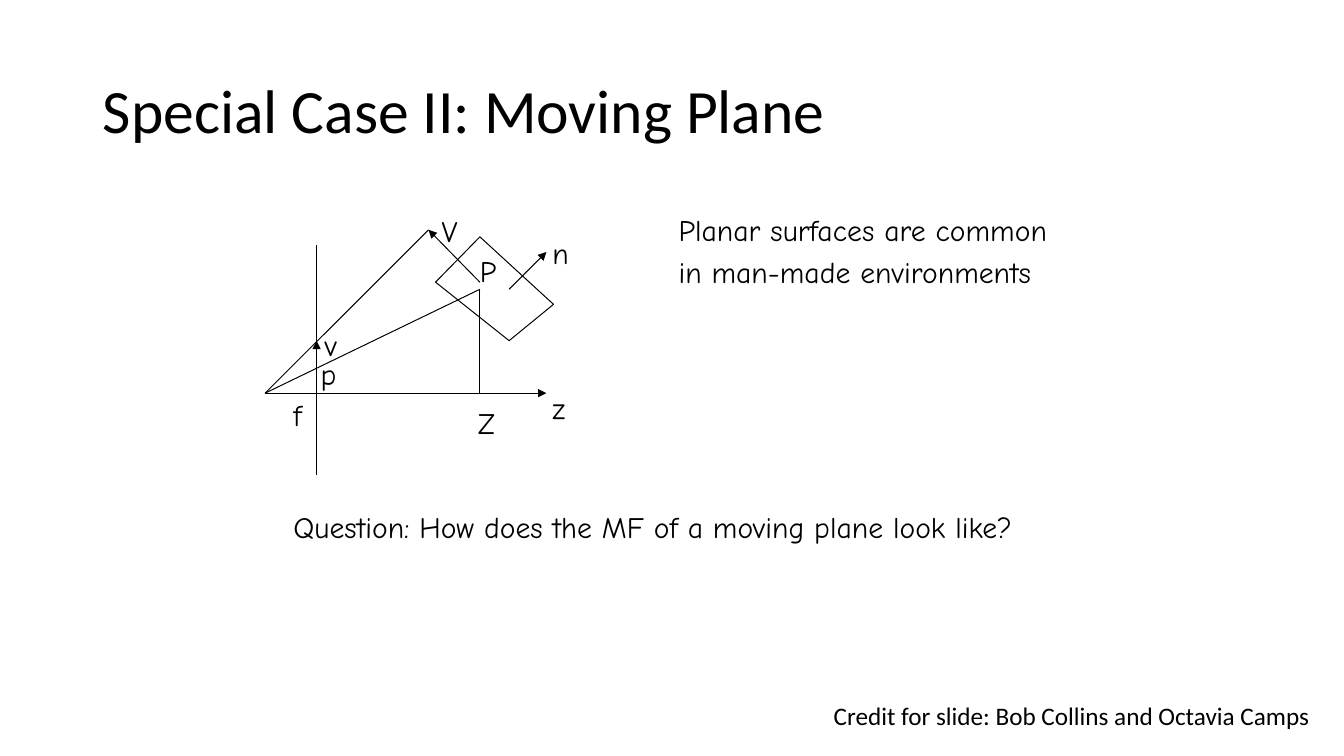
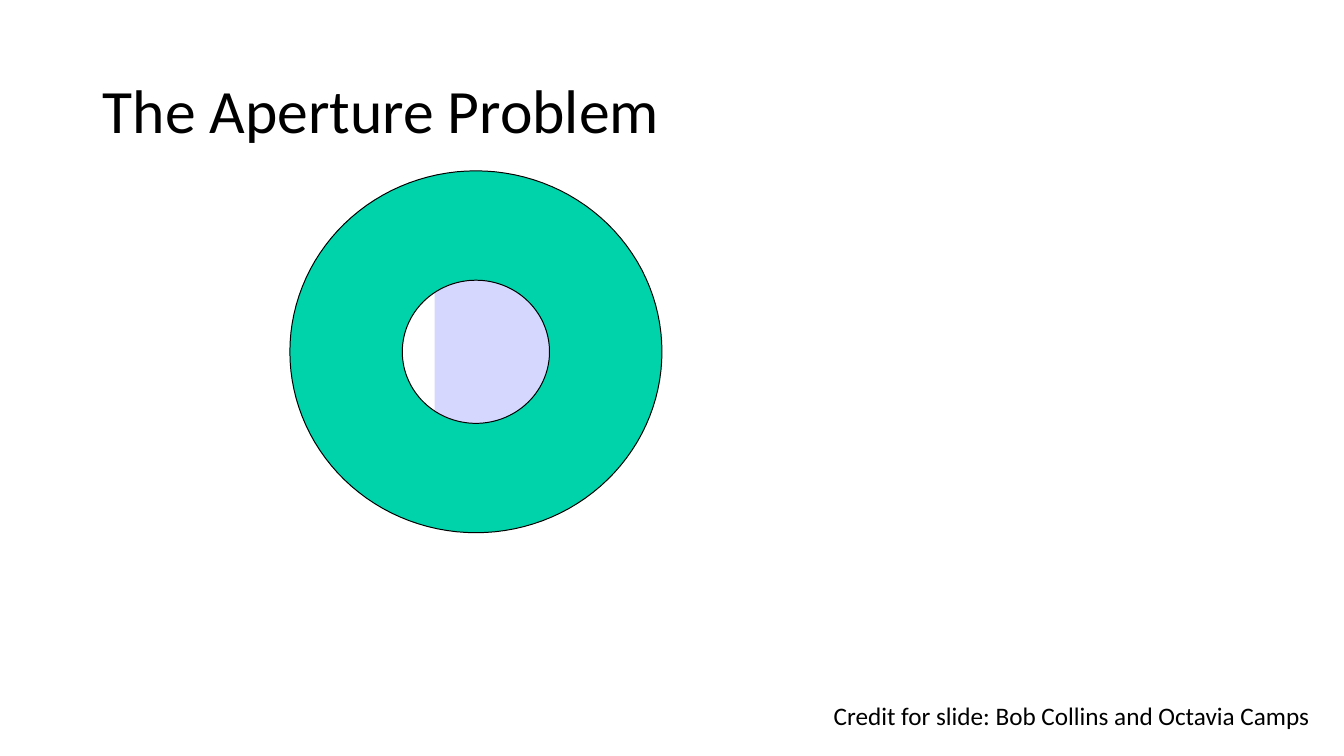
from dataclasses import dataclass
from math import cos, pi, sin

from pptx import Presentation
from pptx.dml.color import RGBColor
from pptx.enum.shapes import MSO_CONNECTOR, MSO_SHAPE
from pptx.enum.text import MSO_ANCHOR, MSO_AUTO_SIZE, PP_ALIGN
from pptx.oxml.ns import qn
from pptx.util import Inches, Pt
from lxml.etree import SubElement


@dataclass(frozen=True)
class Theme:
    ink: str = "000000"
    ring: str = "00D2A9"
    pane: str = "D6D7FF"
    sans: str = "Calibri"
    hand: str = "Comic Neue"
    head: float = 44
    body: float = 21.2
    foot: float = 18
    line: float = 0.72


THEME = Theme()
CREDIT = "Credit for slide: Bob Collins and Octavia Camps"


def write(frame, text, font=THEME.hand, size=THEME.body, space=1.0, anchor=MSO_ANCHOR.TOP, inset=0):
    frame.word_wrap = True
    frame.auto_size = MSO_AUTO_SIZE.NONE
    frame.vertical_anchor = anchor
    frame.margin_left = frame.margin_right = Inches(inset)
    frame.margin_top = frame.margin_bottom = Inches(inset / 2)
    para = frame.paragraphs[0]
    para.alignment = PP_ALIGN.LEFT
    para.line_spacing = space
    run = para.add_run()
    run.text = text
    run.font.name = font
    run.font.size = Pt(size)
    run.font.color.rgb = RGBColor.from_string(THEME.ink)


def label(slide, text, left, top, width=0.3, height=0.36, **style):
    box = slide.shapes.add_textbox(*map(Inches, (left, top, width, height)))
    write(box.text_frame, text, **style)


def paint(shape, fill=None, line=None):
    shape.shadow.inherit = False
    if fill:
        shape.fill.solid()
        shape.fill.fore_color.rgb = RGBColor.from_string(fill)
    else:
        shape.fill.background()
    if line:
        shape.line.color.rgb = RGBColor.from_string(line)
        shape.line.width = Pt(THEME.line)
    else:
        shape.line.fill.background()


def stroke(slide, start, end, arrow=False):
    line = slide.shapes.add_connector(MSO_CONNECTOR.STRAIGHT, *map(Inches, (*start, *end)))
    line.line.color.rgb = RGBColor.from_string(THEME.ink)
    line.line.width = Pt(THEME.line)
    props = line.element.spPr
    if arrow:
        SubElement(props.find(qn("a:ln")), qn("a:tailEnd"), type="triangle")
    SubElement(props, qn("a:effectLst"))


def outline(slide, *loops, fill=None):
    loops = [[(Inches(x), Inches(y)) for x, y in loop] for loop in loops]
    pen = slide.shapes.build_freeform(*loops[0][0])
    for loop in loops:
        pen.move_to(*loop[0])
        pen.add_line_segments(loop[1:], close=True)
    paint(pen.convert_to_shape(), fill, THEME.ink)


def oval(mid, width, height, count=120):
    turns = [2 * pi * step / count for step in range(count)]
    return [(mid[0] + width / 2 * cos(turn), mid[1] + height / 2 * sin(turn)) for turn in turns]


def start(deck, title):
    slide = deck.slides.add_slide(deck.slide_layouts[5])
    head = slide.shapes.title
    head.left, head.top, head.width, head.height = map(Inches, (0.92, 0.4, 11.5, 1.45))
    write(head.text_frame, title, font=THEME.sans, size=THEME.head, space=0.9,
          anchor=MSO_ANCHOR.MIDDLE, inset=0.1)
    label(slide, CREDIT, 8.17, 6.9, 4.98, 0.4, font=THEME.sans, size=THEME.foot, inset=0.1)
    return slide


def plane(deck):
    slide = start(deck, "Special Case II: Moving Plane")
    eye, point, tip = (2.63, 3.9), (4.76, 2.87), (4.25, 2.28)
    film = 3.14
    stroke(slide, (film, 2.43), (film, 4.71))
    stroke(slide, eye, point)
    stroke(slide, eye, tip)
    stroke(slide, point, (point[0], eye[1]))
    outline(slide, [(4.76, 2.35), (4.32, 2.8), (5.05, 3.38), (5.49, 3.02)])
    arrows = [
        (eye, (5.42, eye[1])),
        ((4.76, 2.8), tip),
        ((film, 3.6), (film, 3.38)),
        ((5.05, 2.87), (5.42, 2.5)),
    ]
    for tail, head in arrows:
        stroke(slide, tail, head, arrow=True)
    marks = [
        ("f", 2.91, 3.94), ("V", 4.38, 2.11), ("P", 4.76, 2.51), ("v", 3.22, 3.24),
        ("p", 3.18, 3.53), ("Z", 4.74, 4.02), ("z", 5.48, 3.87), ("n", 5.48, 2.33),
    ]
    for mark in marks:
        label(slide, *mark)
    label(slide, "Planar surfaces are common in man-made environments", 6.73, 2.05, 3.84, 0.8, space=1.16)
    label(slide, "Question: How does the MF of a moving plane look like?", 2.91, 5.05, 7.62)


def hole(deck):
    slide = start(deck, "The Aperture Problem")
    pane = slide.shapes.add_shape(MSO_SHAPE.RECTANGLE, *map(Inches, (4.31, 2.12, 1.3, 2.32)))
    paint(pane, THEME.pane)
    mid = (4.72, 3.49)
    outline(slide, oval(mid, 3.69, 3.59), oval(mid, 1.46, 1.42), fill=THEME.ring)


def main():
    deck = Presentation()
    deck.slide_width, deck.slide_height = Inches(13.33), Inches(7.5)
    plane(deck)
    hole(deck)
    deck.save("out.pptx")


if __name__ == "__main__":
    main()
